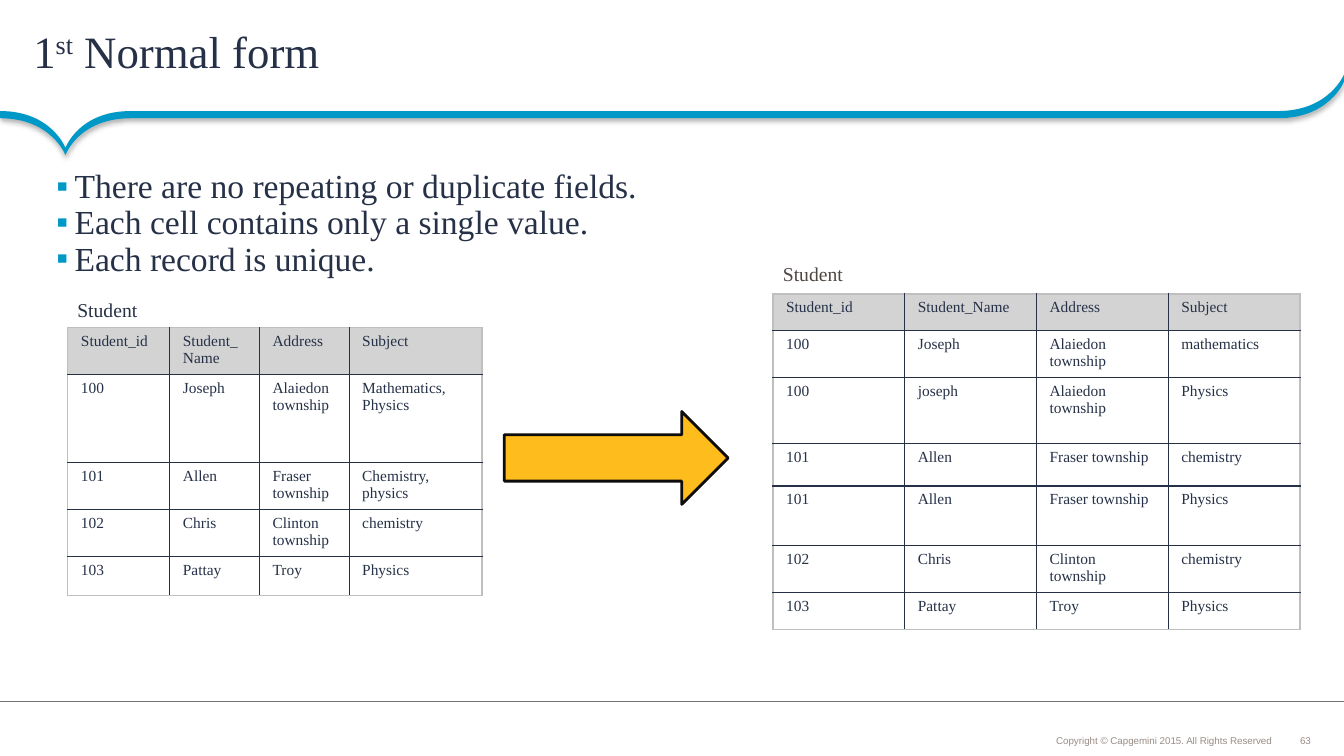
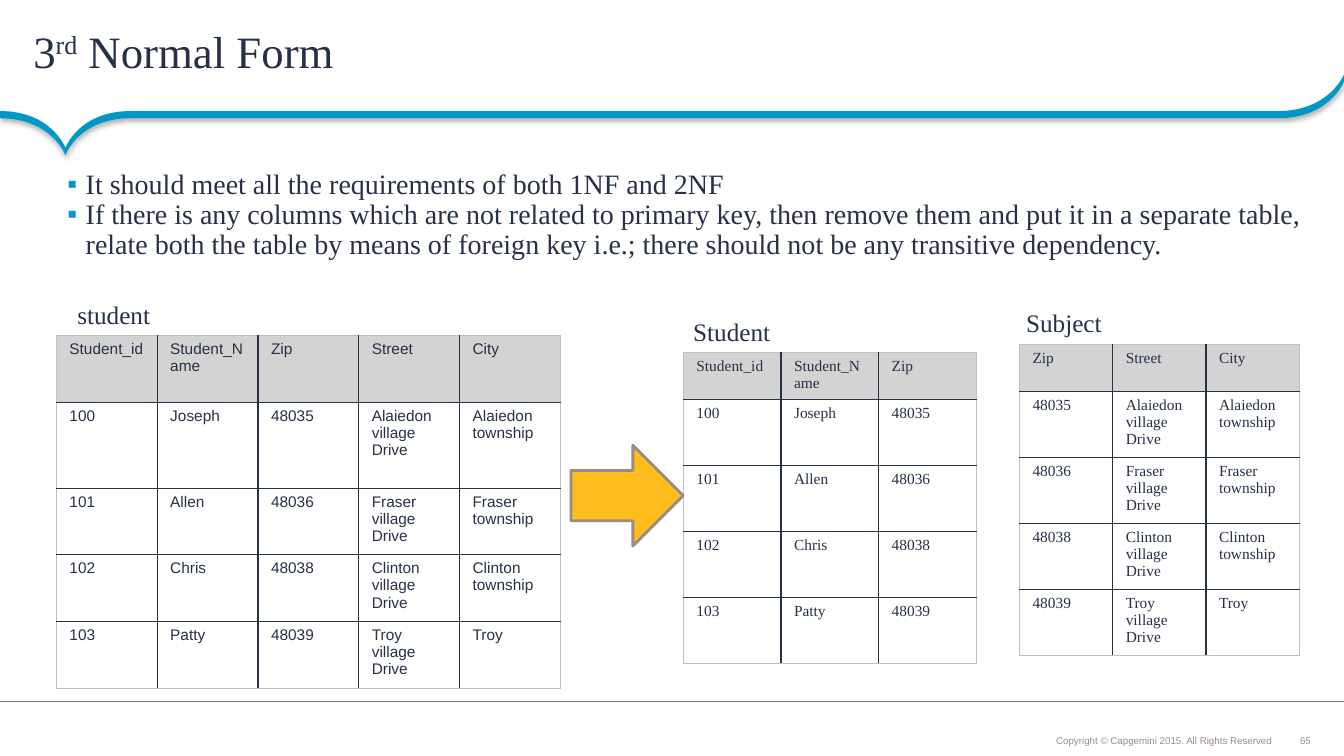
"""Build two slides on the first and third normal forms."""
from pptx import Presentation
from pptx import util as u
from pptx.dml.color import RGBColor
from pptx.enum import shapes, text
from pptx.oxml import parse_xml
from pptx.oxml.ns import nsdecls, qn

NAVY = RGBColor(0x26, 0x31, 0x47)
BLUE = RGBColor(0x00, 0x98, 0xC7)
GREY = RGBColor(0x99, 0x8C, 0x85)
BROWN = RGBColor(0x4E, 0x46, 0x41)
BLACK = RGBColor(0x0E, 0x0D, 0x0C)
YELLOW = RGBColor(0xFF, 0xBC, 0x1D)
HEADER = RGBColor(0xD3, 0xD3, 0xD3)
FRAME = RGBColor(0xBF, 0xBF, 0xBF)
RULE = RGBColor(0x76, 0x76, 0x76)
SERIF, SANS = "Times New Roman", "Arial"
WIDTH, HEIGHT = 33.87, 19.05
SHADOW = (f'<a:effectLst {nsdecls("a")}><a:outerShdw blurRad="50800" dist="25400" dir="5400000">'
          '<a:srgbClr val="000000"><a:alpha val="31000"/></a:srgbClr></a:outerShdw></a:effectLst>')


def write(tf, content, size=11, color=NAVY, font=SERIF, align=None, spacing=None, bullet=False):
    for i, line in enumerate(content.split("\n")):
        p = tf.paragraphs[0] if i == 0 else tf.add_paragraph()
        if bullet:
            pPr = p._p.get_or_add_pPr()
            pPr.set("marL", str(u.Cm(0.46)))
            pPr.set("indent", str(u.Cm(-0.46)))
            pPr.append(parse_xml(f'<a:buClr {nsdecls("a")}><a:srgbClr val="{BLUE}"/></a:buClr>'))
            pPr.append(parse_xml(f'<a:buFont {nsdecls("a")} typeface="{SANS}"/>'))
            pPr.append(parse_xml(f'<a:buChar {nsdecls("a")} char="▪"/>'))
        p.alignment = align
        p.line_spacing = spacing
        for j, part in enumerate(line.split("^")):
            r = p.add_run()
            r.text = part
            r.font.size = u.Pt(size)
            r.font.name = font
            r.font.color.rgb = color
            if j % 2:
                r._r.get_or_add_rPr().set("baseline", "30000")


class Deck:
    def __init__(self):
        self.prs = Presentation()
        self.prs.slide_width, self.prs.slide_height = u.Cm(WIDTH), u.Cm(HEIGHT)
        self.s = None

    def slide(self, title, number):
        self.s = self.prs.slides.add_slide(self.prs.slide_layouts[6])
        self.band()
        self.rule(17.68)
        self.text(23.06, 18.4, 9.09, 0.51, "Copyright © Capgemini 2015. All Rights Reserved",
                  margins=(0.1,) * 4, anchor=text.MSO_ANCHOR.BOTTOM, size=7, color=GREY,
                  font=SANS, align=text.PP_ALIGN.RIGHT, spacing=0.9)
        self.text(32.75, 18.52, 0.3, 0.3, str(number), margins=(0,) * 4, wrap=False,
                  anchor=text.MSO_ANCHOR.MIDDLE, size=7, color=GREY, font=SANS,
                  align=text.PP_ALIGN.CENTER)
        self.text(0, 0, WIDTH, 2.75, title, margins=(0.84, 0.1, 0.46, 0.1),
                  anchor=text.MSO_ANCHOR.MIDDLE, size=32, spacing=0.85)

    def band(self, y=2.8, thickness=0.18):
        tip, corner, end = (1.65, 3.73), (3.3, y), (WIDTH, 1.88)
        bend = (32.21, y)
        top = [(0, y), (1.3, y), tip, tip, tip, (1.98, y), corner,
               corner, bend, bend, (33.5, y), end, end]
        bottom = [(px, py + thickness) for px, py in reversed(top)]
        outline = top + [end, bottom[0]] + bottom + [top[0]] * 3
        points = [(u.Cm(px), u.Cm(py)) for px, py in outline]
        fb = self.s.shapes.build_freeform(*points[0])
        fb.add_line_segments(points[1:])
        sp = fb.convert_to_shape()
        lines = list(sp._element.iter(qn("a:lnTo")))
        for first, second, third in zip(lines[::3], lines[1::3], lines[2::3]):
            curve = parse_xml(f'<a:cubicBezTo {nsdecls("a")}/>')
            first.addprevious(curve)
            for ln in (first, second, third):
                curve.append(ln[0])
                ln.getparent().remove(ln)
        sp.fill.solid()
        sp.fill.fore_color.rgb = BLUE
        sp.line.fill.background()
        sp._element.spPr.append(parse_xml(SHADOW))

    def rule(self, y):
        ln = self.s.shapes.add_connector(shapes.MSO_CONNECTOR.STRAIGHT,
                                         u.Cm(WIDTH), u.Cm(y), u.Cm(0), u.Cm(y))
        ln.line.color.rgb = RULE
        ln.line.width = u.Pt(0.75)
        ln._element.spPr.append(parse_xml(f'<a:effectLst {nsdecls("a")}/>'))

    def text(self, x, y, w, h, content, margins=(0.25, 0.13, 0.25, 0.13), wrap=True,
             anchor=text.MSO_ANCHOR.TOP, **style):
        tf = self.s.shapes.add_textbox(u.Cm(x), u.Cm(y), u.Cm(w), u.Cm(h)).text_frame
        tf.word_wrap = wrap
        tf.vertical_anchor = anchor
        tf.margin_left, tf.margin_top, tf.margin_right, tf.margin_bottom = map(u.Cm, margins)
        write(tf, content, **style)

    def bullets(self, x, y, h, content, size):
        self.text(x, y, 31.65, h, content, margins=(0.3, 0.2, 0.2, 0.2),
                  size=size, spacing=0.9, bullet=True)

    def arrow(self, x, y, w, h, outline):
        sp = self.s.shapes.add_shape(shapes.MSO_SHAPE.RIGHT_ARROW,
                                     u.Cm(x), u.Cm(y), u.Cm(w), u.Cm(h))
        sp.shadow.inherit = False
        sp.fill.solid()
        sp.fill.fore_color.rgb = YELLOW
        sp.line.color.rgb = outline
        sp.line.width = u.Pt(2)

    def table(self, x, y, widths, heights, rows, font=SERIF):
        t = self.s.shapes.add_table(len(rows), len(widths), u.Cm(x), u.Cm(y),
                                    u.Cm(sum(widths)), u.Cm(sum(heights))).table
        t.first_row = t.horz_banding = False
        for col, w in zip(t.columns, widths):
            col.width = u.Cm(w)
        for row, h in zip(t.rows, heights):
            row.height = u.Cm(h)
        for i, row in enumerate(rows):
            for j, value in enumerate(row):
                c = t.cell(i, j)
                c.margin_left = c.margin_right = u.Cm(0.33)
                self.borders(c, L=j == 0, R=j == len(widths) - 1, T=i == 0, B=i == len(rows) - 1)
                if i == 0:
                    c.fill.solid()
                    c.fill.fore_color.rgb = HEADER
                else:
                    c.fill.background()
                write(c.text_frame, value, font=font)

    def borders(self, cell, **outer_sides):
        tcPr = cell._tc.get_or_add_tcPr()
        for side, outer in outer_sides.items():
            color = FRAME if outer else NAVY
            tcPr.append(parse_xml(f'<a:ln{side} {nsdecls("a")} w="12700"><a:solidFill>'
                                  f'<a:srgbClr val="{color}"/></a:solidFill></a:ln{side}>'))


def first_normal_form(d):
    header = ("Student_id", "Student_Name", "Address", "Subject")
    d.slide("1^st^ Normal form", 63)
    d.bullets(1.12, 4.07, 5.26, "There are no repeating or duplicate fields.\n"
              "Each cell contains only a single value.\nEach record is unique.", 24)
    d.table(1.71, 8.26, [2.57, 2.26, 2.26, 3.35], [1.17, 2.2, 1.17, 1.17, 0.98], [
        header,
        ("100", "Joseph", "Alaiedon township", "Mathematics, Physics"),
        ("101", "Allen", "Fraser township", "Chemistry, physics"),
        ("102", "Chris", "Clinton township", "chemistry"),
        ("103", "Pattay", "Troy", "Physics")])
    d.text(1.7, 7.37, 3.71, 0.9, "Student", size=14)
    d.table(19.48, 7.41, [3.32] * 4, [0.92, 1.17, 1.66, 1.07, 1.5, 1.17, 0.92], [
        header,
        ("100", "Joseph", "Alaiedon township", "mathematics"),
        ("100", "joseph", "Alaiedon township", "Physics"),
        ("101", "Allen", "Fraser township", "chemistry"),
        ("101", "Allen", "Fraser township", "Physics"),
        ("102", "Chris", "Clinton township", "chemistry"),
        ("103", "Pattay", "Troy", "Physics")])
    d.arrow(12.71, 10.37, 5.64, 2.34, BLACK)
    d.text(19.48, 6.48, 5.08, 0.86, "Student", size=14, color=BROWN)


def third_normal_form(d):
    records = [
        ("Student_id", "Student_Name", "Zip", "Street", "City"),
        ("100", "Joseph", "48035", "Alaiedon village Drive", "Alaiedon township"),
        ("101", "Allen", "48036", "Fraser village Drive", "Fraser township"),
        ("102", "Chris", "48038", "Clinton village Drive", "Clinton township"),
        ("103", "Patty", "48039", "Troy village Drive", "Troy")]
    split_heights = [1.19] + [1.66] * 4
    d.slide("3^rd^ Normal Form", 65)
    d.bullets(1.4, 4.09, 3.4, "It should meet all the requirements of both 1NF and 2NF\n"
              "If there is any columns which are not related to primary key, then remove them "
              "and put it in a separate table, relate both the table by means of foreign key "
              "i.e.; there should not be any transitive dependency.", 20)
    d.table(1.42, 8.46, [2.54] * 5, [1.68, 2.16, 1.68, 1.68, 1.68], records, font=SANS)
    d.table(17.22, 8.88, [2.46] * 3, split_heights, [row[:3] for row in records])
    d.table(25.69, 8.68, [2.35] * 3, split_heights, [row[2:] for row in records])
    for x, y, label in ((1.7, 7.42, "student"), (17.22, 7.85, "Student"), (25.61, 7.62, "Subject")):
        d.text(x, y, 4, 1.02, label, size=18)
    d.arrow(14.39, 11.22, 2.83, 2.54, GREY)


def main():
    d = Deck()
    first_normal_form(d)
    third_normal_form(d)
    d.prs.save("out.pptx")


if __name__ == "__main__":
    main()
